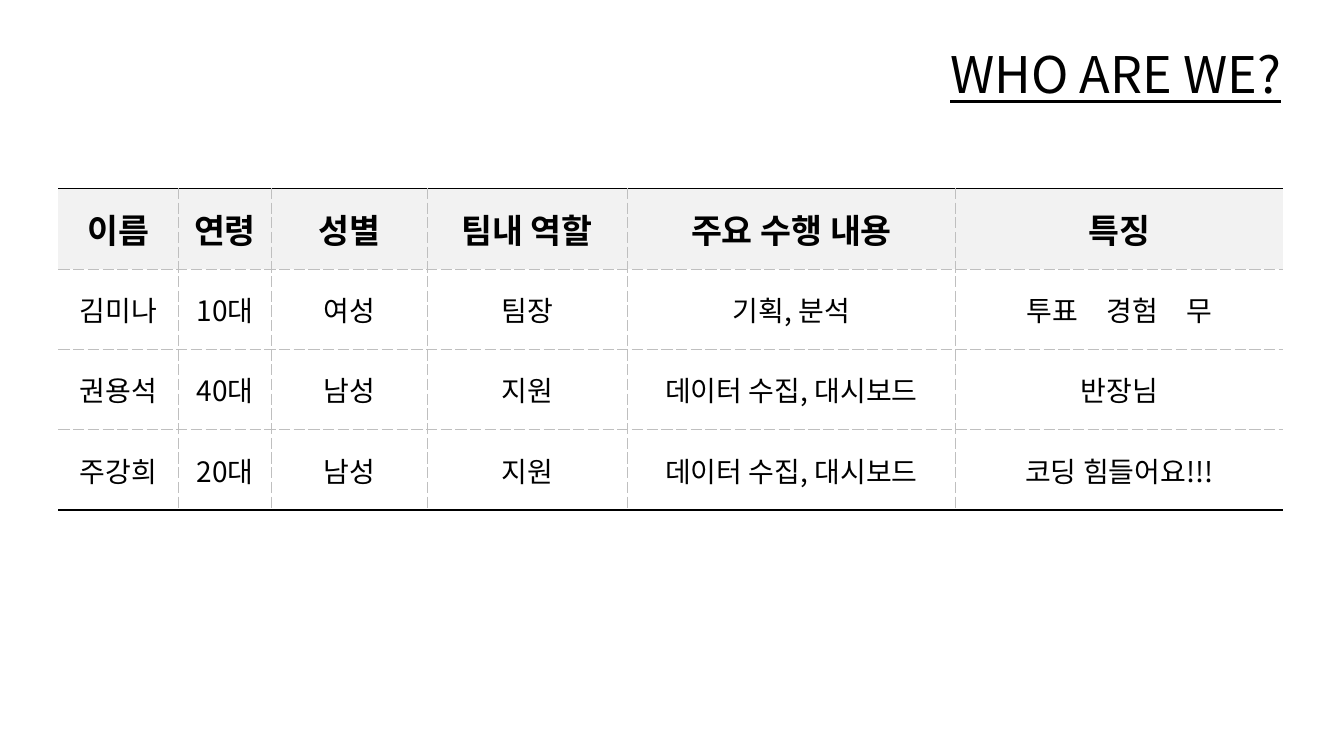
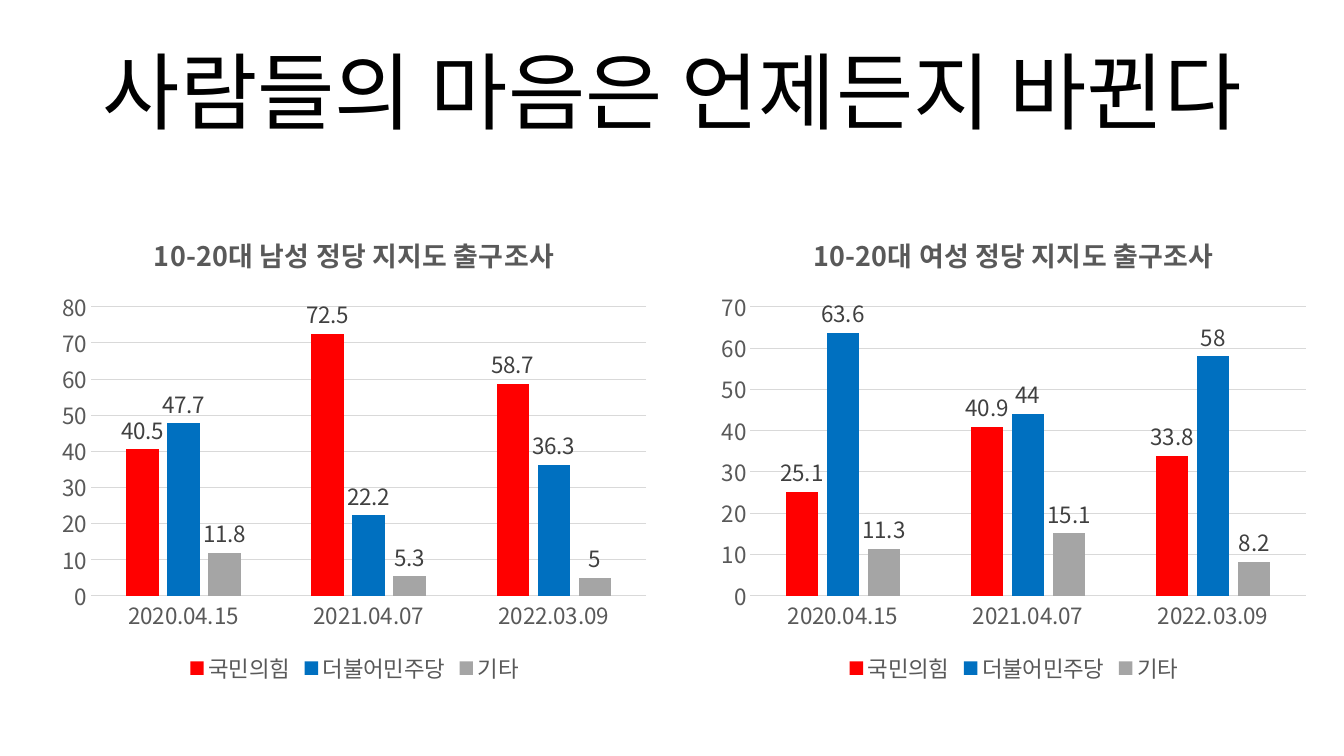
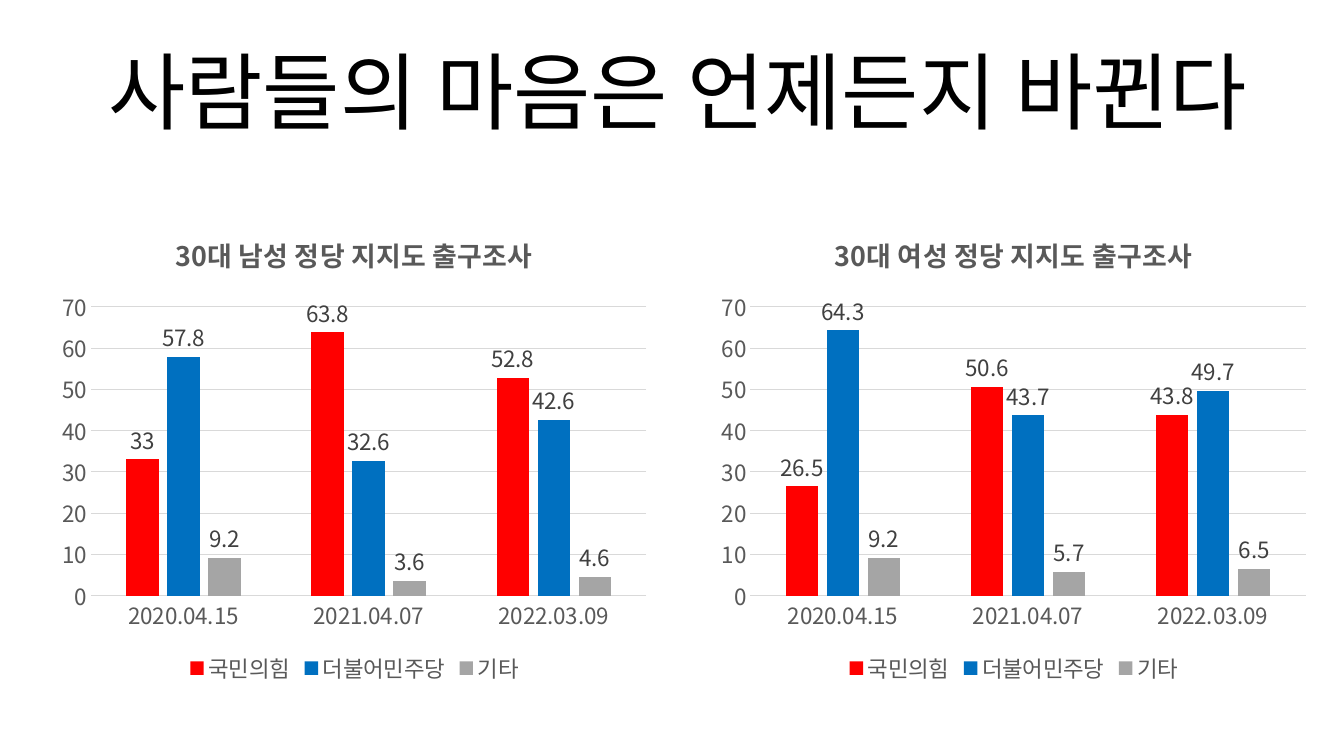
from dataclasses import dataclass

from lxml import etree
from pptx import Presentation, util as u
from pptx.chart.data import CategoryChartData
from pptx.dml.color import RGBColor
from pptx.enum import chart as charts, text
from pptx.oxml.ns import qn


@dataclass(frozen=True)
class Theme:
    font: str = "Noto Sans CJK KR"
    ink: str = "000000"
    header_fill: str = "F2F2F2"
    table_rule: str = "BFBFBF"
    chart_rule: str = "D9D9D9"
    chart_text: str = "595959"
    label_text: str = "404040"
    parties: tuple = ("FF0000", "0070C0", "A5A5A5")
    headline: float = 60
    question: float = 36
    table_head: float = 24
    table_body: float = 20
    chart_title: float = 19.2
    chart_body: float = 16


THEME = Theme()
WIDTH, HEIGHT = u.Inches(13.33), u.Inches(7.5)

MEMBER_COLUMNS = (1.19, 0.92, 1.54, 1.99, 3.25, 3.25)
MEMBERS = (
    ("이름", "연령", "성별", "팀내 역할", "주요 수행 내용", "특징"),
    ("김미나", "10대", "여성", "팀장", "기획, 분석", "투표　경험　무"),
    ("권용석", "40대", "남성", "지원", "데이터 수집, 대시보드", "반장님"),
    ("주강희", "20대", "남성", "지원", "데이터 수집, 대시보드", "코딩 힘들어요!!!"),
)

ELECTIONS = ("2020.04.15", "2021.04.07", "2022.03.09")
PARTIES = ("국민의힘", "더불어민주당", "기타")
HEADLINE = "사람들의 마음은 언제든지 바뀐다"
TWENTIES = (
    ("10-20대 남성 정당 지지도 출구조사",
     ((40.5, 72.5, 58.7), (47.7, 22.2, 36.3), (11.8, 5.3, 5))),
    ("10-20대 여성 정당 지지도 출구조사",
     ((25.1, 40.9, 33.8), (63.6, 44, 58), (11.3, 15.1, 8.2))),
)
THIRTIES = (
    ("30대 남성 정당 지지도 출구조사",
     ((33, 63.8, 52.8), (57.8, 32.6, 42.6), (9.2, 3.6, 4.6))),
    ("30대 여성 정당 지지도 출구조사",
     ((26.5, 50.6, 43.8), (64.3, 43.7, 49.7), (9.2, 5.7, 6.5))),
)


def area(left, top, width, height):
    shares = ((left, WIDTH), (top, HEIGHT), (width, WIDTH), (height, HEIGHT))
    return [int(share * whole / 100) for share, whole in shares]


def style(font, size, color=THEME.ink, bold=False):
    font.size = u.Pt(size)
    font.bold = bold
    font.color.rgb = RGBColor.from_string(color)
    font.name = THEME.font
    etree.SubElement(font._rPr, qn("a:ea"), typeface=THEME.font)


def rule(line, color=THEME.chart_rule):
    line.color.rgb = RGBColor.from_string(color)
    line.width = u.Pt(0.75)


def add_title(slide, wording, place, size, wrap=False, underline=False):
    frame = slide.shapes.add_textbox(*area(*place)).text_frame
    frame.word_wrap = wrap
    frame.auto_size = text.MSO_AUTO_SIZE.SHAPE_TO_FIT_TEXT
    title = frame.paragraphs[0]
    title.text = wording
    title.alignment = text.PP_ALIGN.CENTER
    style(title.font, size)
    if underline:
        title.font.underline = True


def add_border(cell, side, color, points, dash):
    border = etree.SubElement(cell._tc.get_or_add_tcPr(), qn(f"a:ln{side}"),
                              w=str(u.Pt(points)))
    if color is None:
        etree.SubElement(border, qn("a:noFill"))
        return
    fill = etree.SubElement(border, qn("a:solidFill"))
    etree.SubElement(fill, qn("a:srgbClr"), val=color)
    etree.SubElement(border, qn("a:prstDash"), val=dash)


def add_borders(cell, at_left, at_right, at_top, at_bottom):
    inner = (THEME.table_rule, 0.25, "sysDash")
    frame = (THEME.ink, 1, "solid")
    bare = (None, 0, None)
    add_border(cell, "L", *(bare if at_left else inner))
    add_border(cell, "R", *(bare if at_right else inner))
    add_border(cell, "T", *(frame if at_top else inner))
    add_border(cell, "B", *(frame if at_bottom else inner))


def fill_cell(cell, wording, header):
    cell.vertical_anchor = text.MSO_ANCHOR.MIDDLE
    entry = cell.text_frame.paragraphs[0]
    entry.text = wording
    entry.alignment = text.PP_ALIGN.CENTER
    style(entry.font, THEME.table_head if header else THEME.table_body, bold=header)
    if header:
        cell.fill.solid()
        cell.fill.fore_color.rgb = RGBColor.from_string(THEME.header_fill)
    else:
        cell.fill.background()


def add_members(slide, place):
    last_row, last_column = len(MEMBERS) - 1, len(MEMBER_COLUMNS) - 1
    bounds = area(*place)
    table = slide.shapes.add_table(last_row + 1, last_column + 1, *bounds).table
    table.first_row = table.horz_banding = False
    for column, share in zip(table.columns, MEMBER_COLUMNS):
        column.width = int(bounds[2] * share / sum(MEMBER_COLUMNS))
    for r, member in enumerate(MEMBERS):
        for c, wording in enumerate(member):
            cell = table.cell(r, c)
            add_borders(cell, c == 0, c == last_column, r == 0, r == last_row)
            fill_cell(cell, wording, header=r == 0)


def style_axes(chart):
    for axis in (chart.category_axis, chart.value_axis):
        axis.major_tick_mark = axis.minor_tick_mark = charts.XL_TICK_MARK.NONE
        style(axis.tick_labels.font, THEME.chart_body, THEME.chart_text)
    rule(chart.category_axis.format.line)
    chart.value_axis.format.line.fill.background()
    rule(chart.value_axis.major_gridlines.format.line)


def style_party(party, color):
    party.format.fill.solid()
    party.format.fill.fore_color.rgb = RGBColor.from_string(color)
    labels = party.data_labels
    labels.show_value = True
    labels.position = charts.XL_LABEL_POSITION.OUTSIDE_END
    style(labels.font, THEME.chart_body, THEME.label_text)


def add_poll(slide, heading, support, place):
    data = CategoryChartData()
    data.categories = ELECTIONS
    for party, values in zip(PARTIES, support):
        data.add_series(party, values)
    chart = slide.shapes.add_chart(
        charts.XL_CHART_TYPE.COLUMN_CLUSTERED, *area(*place), data).chart
    style(chart.font, THEME.chart_body)

    chart.has_title = True
    chart.chart_title.include_in_layout = False
    title = chart.chart_title.text_frame.paragraphs[0]
    title.text = heading
    style(title.font, THEME.chart_title, THEME.chart_text, bold=True)

    chart.has_legend = True
    chart.legend.position = charts.XL_LEGEND_POSITION.BOTTOM
    chart.legend.include_in_layout = False
    style(chart.legend.font, THEME.chart_body, THEME.chart_text)

    style_axes(chart)
    plot = chart.plots[0]
    plot.vary_by_categories = False
    plot.gap_width = 219
    plot.overlap = -27
    for party, color in zip(plot.series, THEME.parties):
        style_party(party, color)


def add_polls(slide, polls):
    for column, (heading, support) in enumerate(polls):
        add_poll(slide, heading, support, (3.75 + 49.06 * column, 28, 45.24, 63.07))


def main():
    deck = Presentation()
    deck.slide_width, deck.slide_height = WIDTH, HEIGHT
    blank = deck.slide_layouts[6]

    team = deck.slides.add_slide(blank)
    add_title(team, "WHO ARE WE?", (67.97, 5.07, 30.08, 9.47),
              THEME.question, underline=True)
    add_members(team, (4.35, 24.93, 91.15, 42.53))

    twenties = deck.slides.add_slide(blank)
    add_polls(twenties, TWENTIES)
    add_title(twenties, HEADLINE, (1.73, 4.53, 96.55, 14.8), THEME.headline, wrap=True)

    thirties = deck.slides.add_slide(blank)
    add_polls(thirties, THIRTIES)
    add_title(thirties, HEADLINE, (4.43, 4.53, 91.97, 14.8), THEME.headline)

    deck.save("out.pptx")


if __name__ == "__main__":
    main()
